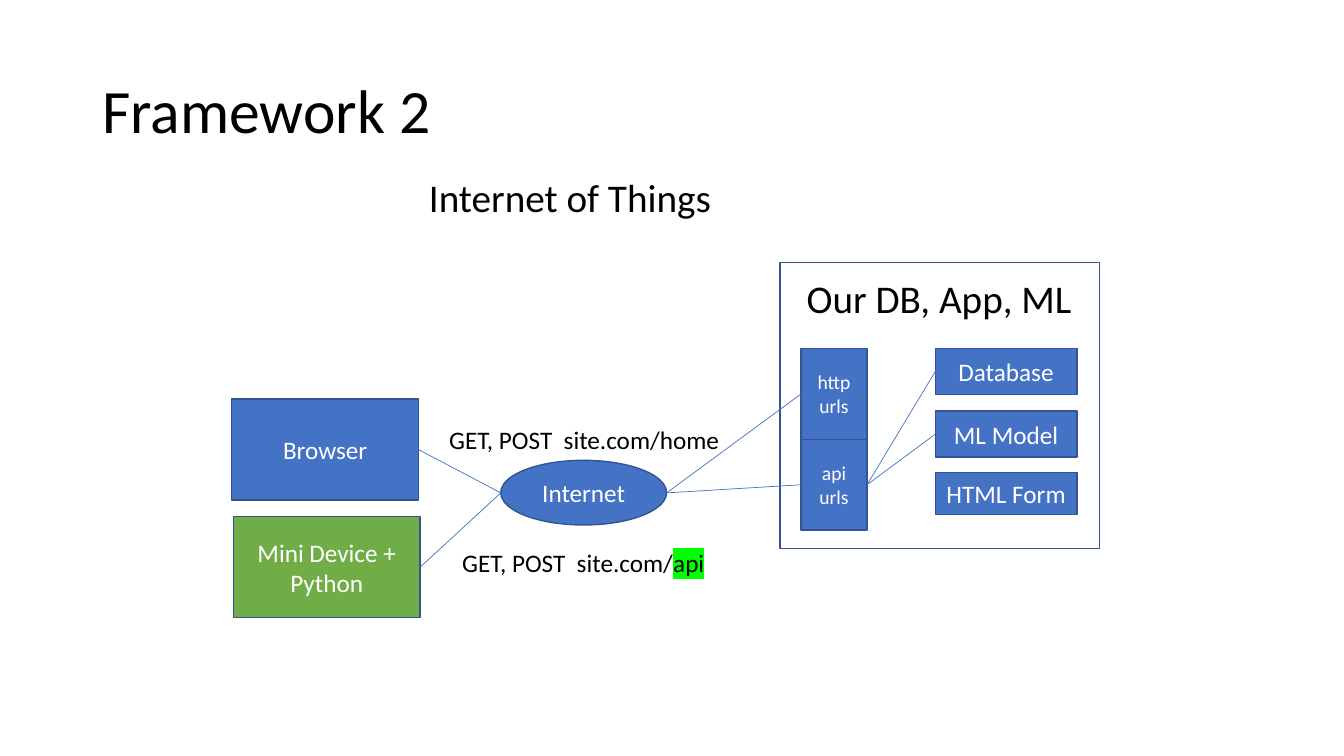
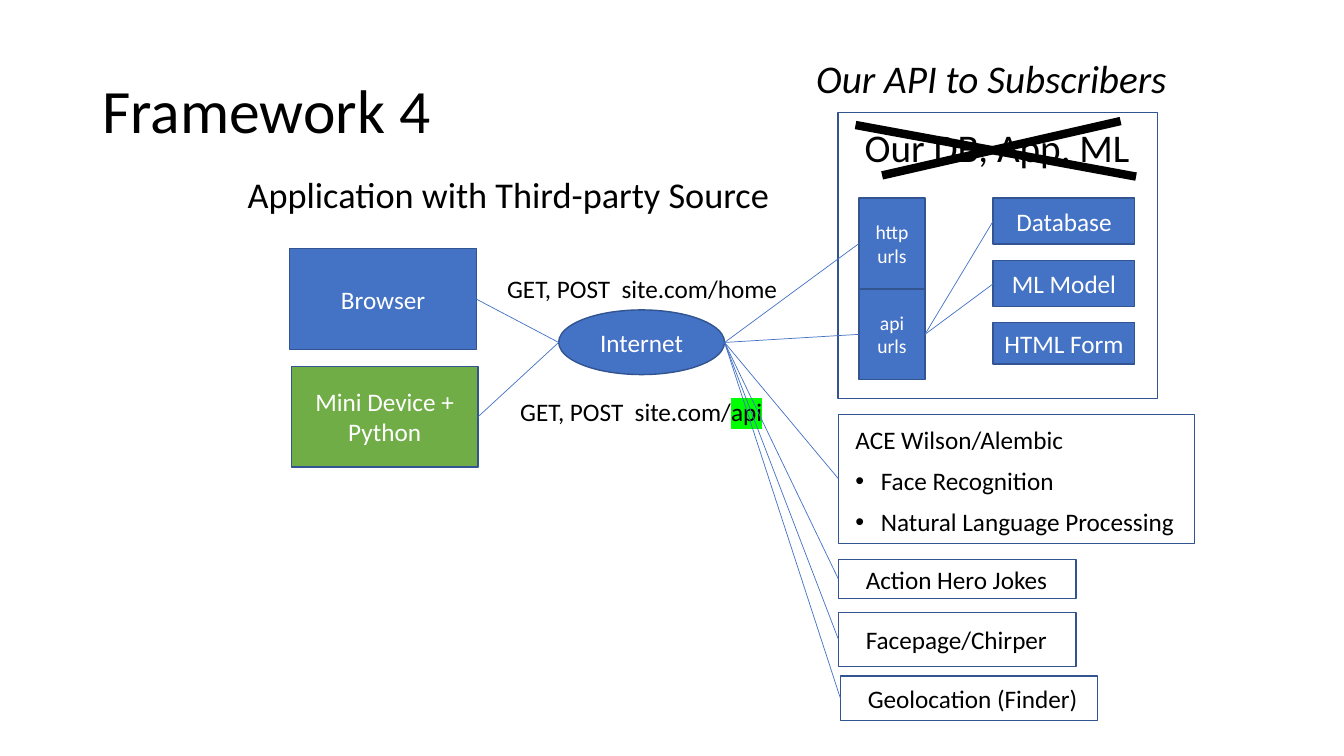
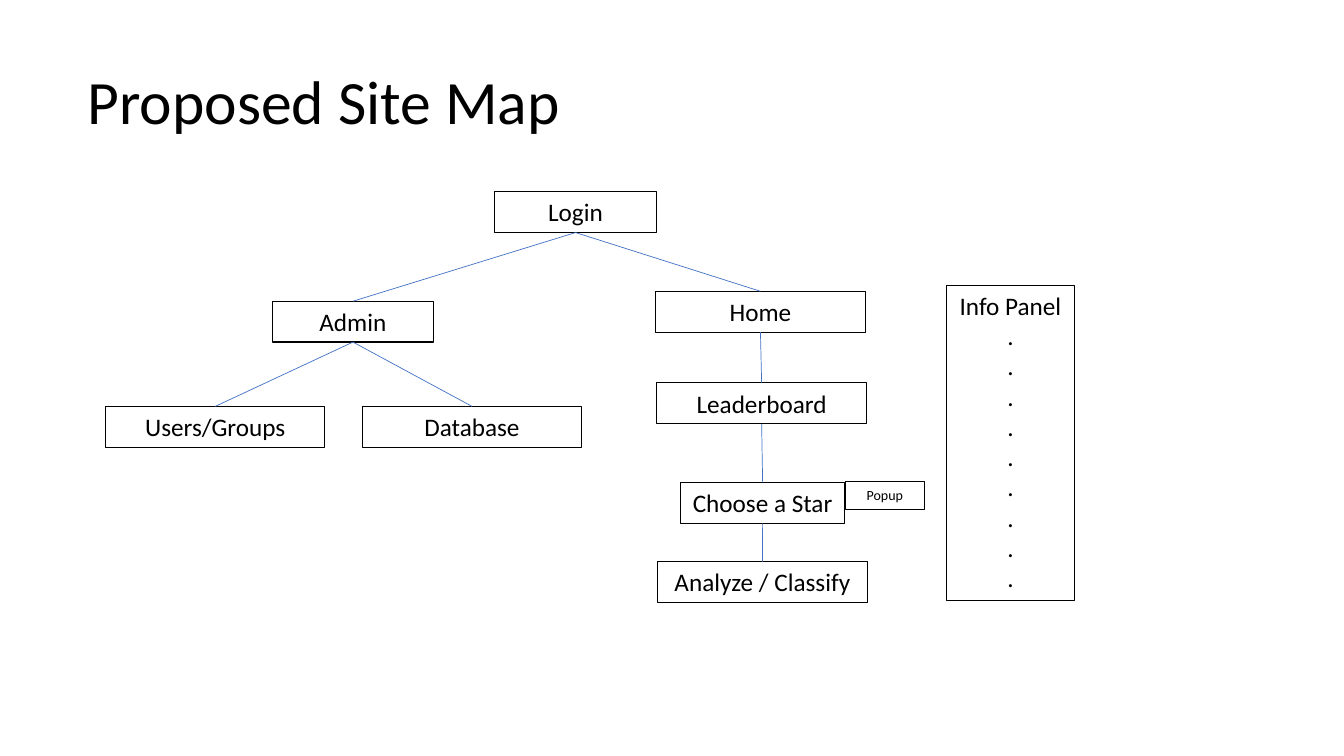
"""Build three slides: two service frameworks and a site map."""
import pptx
import pptx.dml.color
import pptx.enum.shapes
import pptx.enum.text
import pptx.oxml
import pptx.oxml.ns
import pptx.util
import lxml.etree

Cm, Pt = pptx.util.Cm, pptx.util.Pt
RGB = pptx.dml.color.RGBColor.from_string
MSO = pptx.enum.shapes.MSO_SHAPE
ALIGN = pptx.enum.text.PP_ALIGN
ANCHOR = pptx.enum.text.MSO_ANCHOR
qn = pptx.oxml.ns.qn

BLACK, WHITE, BLUE, GREEN, EDGE, MARK = "000000", "FFFFFF", "4472C4", "70AD47", "325491", "00FF00"
BASE = {"size": 18, "color": BLACK, "italic": False, "fill": None, "line": None, "width": 1,
        "frame": {"word_wrap": True, "vertical_anchor": ANCHOR.TOP},
        "para": {"alignment": ALIGN.LEFT}}
MIDDLE = {"word_wrap": True, "vertical_anchor": ANCHOR.MIDDLE}
CENTER = {"alignment": ALIGN.CENTER}
BODY = {"alignment": ALIGN.LEFT, "line_spacing": 0.9, "space_before": Pt(10)}
NODE = {"color": WHITE, "fill": BLUE, "line": EDGE, "frame": MIDDLE, "para": CENTER}
PANEL = {"line": EDGE, "frame": MIDDLE | {"margin_left": Cm(0.69), "margin_right": 0}}
PAGE = {"line": BLACK, "width": 0.75, "para": CENTER}
THEME = {
    "font": "Calibri",
    "title": {"size": 44, "frame": MIDDLE, "para": {"line_spacing": 0.9}},
    "head": {"size": 28, "para": BODY},
    "long head": {"size": 25.9, "para": BODY},
    "italic head": {"size": 28, "italic": True, "para": BODY},
    "label": {"para": BODY},
    "node": NODE,
    "green node": NODE | {"fill": GREEN},
    "small node": NODE | {"size": 14},
    "panel": PANEL,
    "list panel": {"line": EDGE, "para": BODY, "frame": {
        "word_wrap": True, "vertical_anchor": ANCHOR.TOP,
        "margin_left": Cm(0.43), "margin_right": 0, "margin_top": Cm(0.33)}},
    "page": PAGE,
    "popup": PAGE | {"size": 10},
    "link": (BLUE, 0.5),
    "strike": (BLACK, 6),
}


def add(s, style, at, text="", kind=MSO.RECTANGLE):
    """Add a shape or text box; "|" starts a marked run and "• " a bullet."""
    fmt = BASE | THEME[style]
    at = [Cm(v) for v in at]
    if fmt["line"]:
        sp = s.shapes.add_shape(kind, *at)
        sp.shadow.inherit = False
        sp.line.color.rgb = RGB(fmt["line"])
        sp.line.width = Pt(fmt["width"])
        if fmt["fill"]:
            sp.fill.solid()
            sp.fill.fore_color.rgb = RGB(fmt["fill"])
        else:
            sp.fill.background()
    else:
        sp = s.shapes.add_textbox(*at)
    tf = sp.text_frame
    for name, value in fmt["frame"].items():
        setattr(tf, name, value)
    for i, line in enumerate(text.split("\n") if text else []):
        p = tf.add_paragraph() if i else tf.paragraphs[0]
        for name, value in fmt["para"].items():
            setattr(p, name, value)
        if line.startswith("• "):
            line = line[2:]
            pPr = p._p.get_or_add_pPr()
            pPr.set("marL", str(Cm(0.64)))
            pPr.set("indent", str(-Cm(0.64)))
            lxml.etree.SubElement(pPr, qn("a:buFont")).set("typeface", "Arial")
            lxml.etree.SubElement(pPr, qn("a:buChar")).set("char", "•")
        for j, part in enumerate(line.split("|")):
            r = p.add_run()
            r.text = part
            font = {"name": THEME["font"], "size": Pt(fmt["size"]), "italic": fmt["italic"]}
            for name, value in font.items():
                setattr(r.font, name, value)
            r.font.color.rgb = RGB(fmt["color"])
            if j:
                mark = pptx.oxml.parse_xml(
                    '<a:highlight xmlns:a="http://schemas.openxmlformats.org/drawingml/2006/main">'
                    f'<a:srgbClr val="{MARK}"/></a:highlight>')
                r._r.rPr.find(qn("a:solidFill")).addnext(mark)
    return sp


def link(s, start, end, style="link"):
    """Draw a line between points (x, y) or joined sides (shape, site)."""
    color, width = THEME[style]
    points = [(0, 0) if hasattr(e[0], "shape_id") else e for e in (start, end)]
    cx = s.shapes.add_connector(pptx.enum.shapes.MSO_CONNECTOR.STRAIGHT,
                                *[Cm(v) for point in points for v in point])
    for e, join in ((start, cx.begin_connect), (end, cx.end_connect)):
        if hasattr(e[0], "shape_id"):
            join(*e)
    cx.line.color.rgb = RGB(color)
    cx.line.width = Pt(width)
    lxml.etree.SubElement(cx._element.spPr, qn("a:effectLst"))


TOP, LEFT, BOTTOM, RIGHT = range(4)
prs = pptx.Presentation()
prs.slide_width, prs.slide_height = Cm(33.87), Cm(19.05)
slides = []
for title, x, y in (("Framework 2", 2.33, 1.01), ("Framework 4", 2.33, 1.01),
                    ("Proposed Site Map", 1.96, 0.79)):
    s = prs.slides.add_slide(prs.slide_layouts[6])
    add(s, "title", (x, y, 29.21, 3.68), title)
    slides.append(s)

parts = [
    ("frame", "panel", 19.66, 6.62, 8.05, 7.21, ""),
    ("browser", "node", 5.84, 10.06, 4.71, 2.54, "Browser"),
    ("board", "green node", 5.88, 13.02, 4.71, 2.54, "Mini Device + Python"),
    ("database", "node", 23.57, 8.78, 3.57, 1.16, "Database"),
    ("model", "node", 23.57, 10.36, 3.57, 1.16, "ML Model"),
    ("form", "node", 23.57, 11.91, 3.57, 1.05, "HTML Form"),
    ("http", "small node", 20.19, 8.78, 1.66, 2.29, "http urls"),
    ("api", "small node", 20.19, 11.07, 1.66, 2.29, "api urls"),
    ("owner", "head", 20.08, 6.91, 7.6, 1.57, "Our DB, App, ML"),
    ("home call", "label", 11.07, 10.65, 7.85, 1.57, "GET, POST  site.com/home"),
    ("api call", "label", 11.4, 13.75, 7.85, 1.57, "GET, POST  site.com/|api"),
]
for s, dx, dy in ((slides[0], 0, 0), (slides[1], 1.46, -3.79)):
    made = {name: add(s, style, (x + dx, y + dy, w, h), text)
            for name, style, x, y, w, h, text in parts}
    add(s, "node", (12.62 + dx, 11.6 + dy, 4.18, 1.63), "Internet", MSO.OVAL)
    net_in, net_out = (12.62 + dx, 12.42 + dy), (16.8 + dx, 12.42 + dy)
    for name in ("browser", "board"):
        link(s, (made[name], RIGHT), net_in)
    for name in ("http", "api"):
        link(s, (made[name], LEFT), net_out)
    for name in ("database", "model"):
        link(s, (made[name], LEFT), (made["api"], RIGHT))

add(slides[0], "head", (10.56, 4.37, 8.72, 1.57), "Internet of Things")

s = slides[1]
add(s, "long head", (5.99, 4.34, 14.4, 1.57), "Application with Third-party Source")
add(s, "italic head", (20.32, 1.37, 9.55, 1.57), "Our API to Subscribers")
for style, at, text in (
        ("list panel", (21.13, 10.44, 8.97, 3.25),
         "ACE Wilson/Alembic\n• Face Recognition\n• Natural Language Processing"),
        ("panel", (21.13, 14.1, 5.99, 0.99), "Action Hero Jokes"),
        ("panel", (21.13, 15.44, 5.99, 1.35), "Facepage/Chirper"),
        ("panel", (21.18, 17.04, 6.48, 1.12), "Geolocation (Finder)")):
    link(s, net_out, (add(s, style, at, text), LEFT))
link(s, (21.56, 3.15), (28.63, 4.45), "strike")
link(s, (22.23, 4.42), (28.24, 3.05), "strike")

s = slides[2]
pages = {text: add(s, "page", (x, y, w, 1.03), text) for text, x, y, w in (
    ("Login", 12.47, 4.83, 4.07),
    ("Admin", 6.86, 7.59, 4.07),
    ("Users/Groups", 2.67, 10.24, 5.51),
    ("Database", 9.14, 10.24, 5.51),
    ("Home", 16.51, 7.34, 5.31),
    ("Leaderboard", 16.54, 9.65, 5.31),
    ("Choose a Star", 17.15, 12.16, 4.14),
    ("Analyze / Classify", 16.56, 14.15, 5.31))}
for parent, child in (
        ("Login", "Admin"), ("Login", "Home"), ("Admin", "Users/Groups"), ("Admin", "Database"),
        ("Home", "Leaderboard"), ("Leaderboard", "Choose a Star"),
        ("Choose a Star", "Analyze / Classify")):
    link(s, (pages[parent], BOTTOM), (pages[child], TOP))
add(s, "popup", (21.31, 12.14, 1.98, 0.69), "Popup")
add(s, "page", (23.85, 7.19, 3.23, 7.95), "Info Panel" + "\n." * 9)

prs.save("out.pptx")
